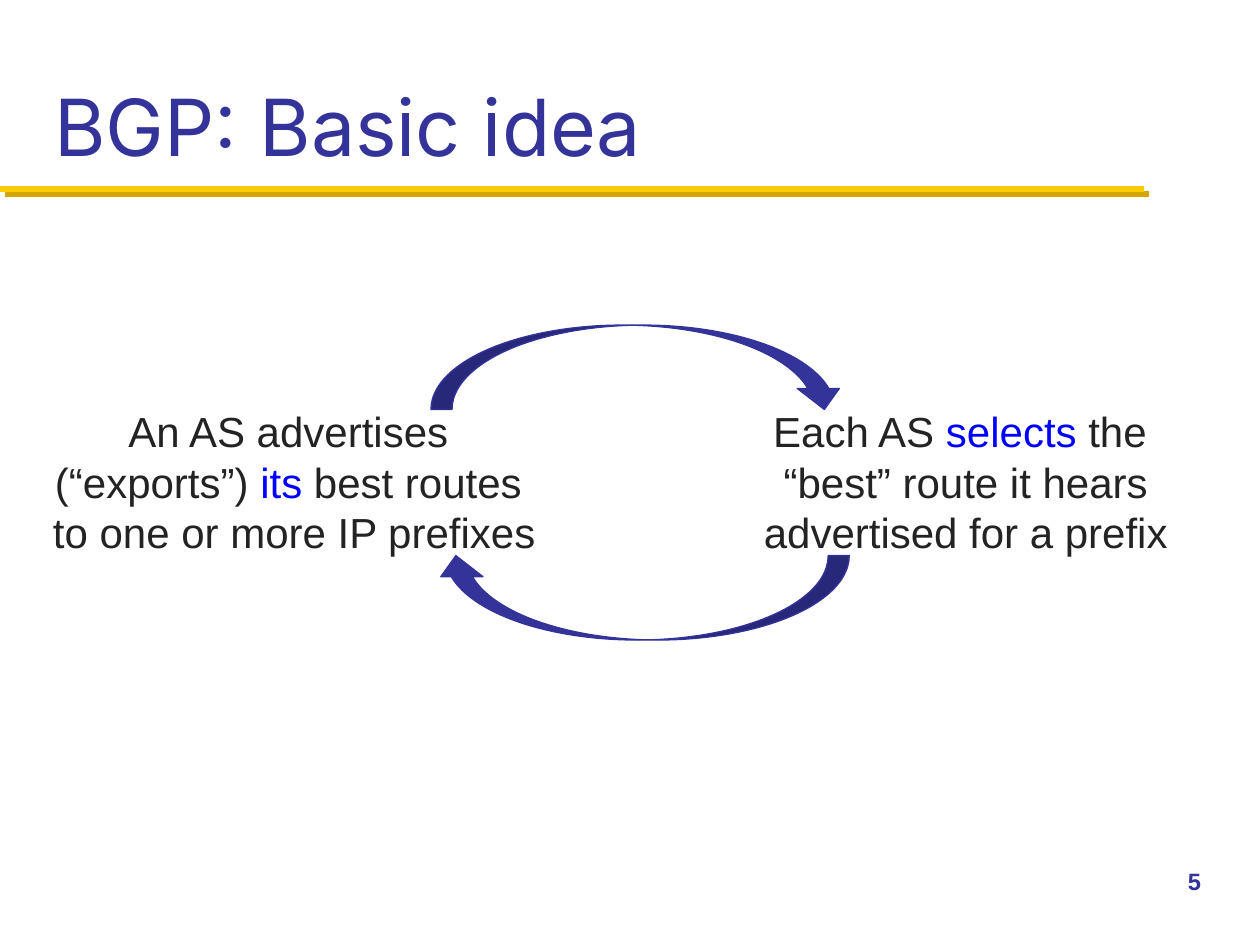
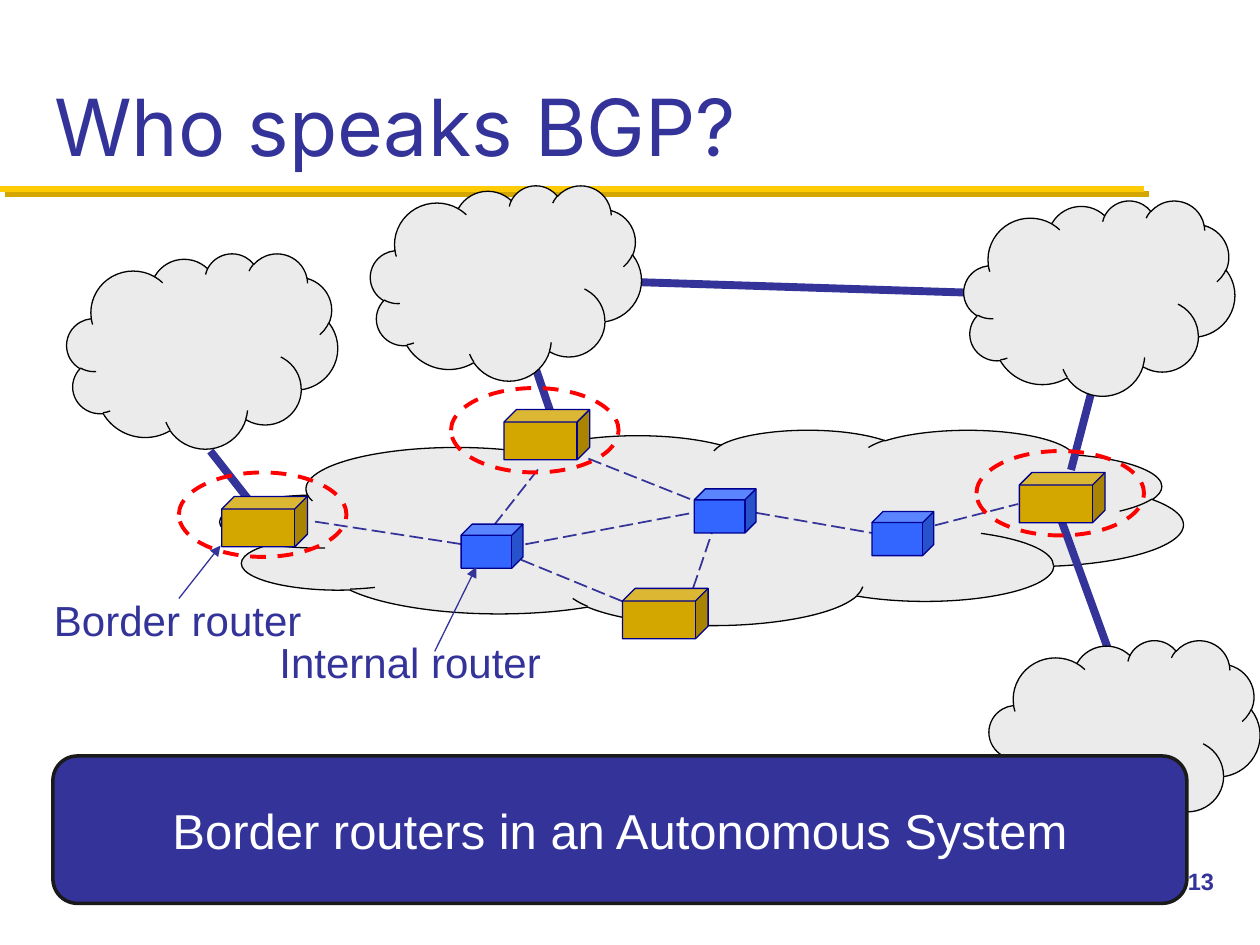
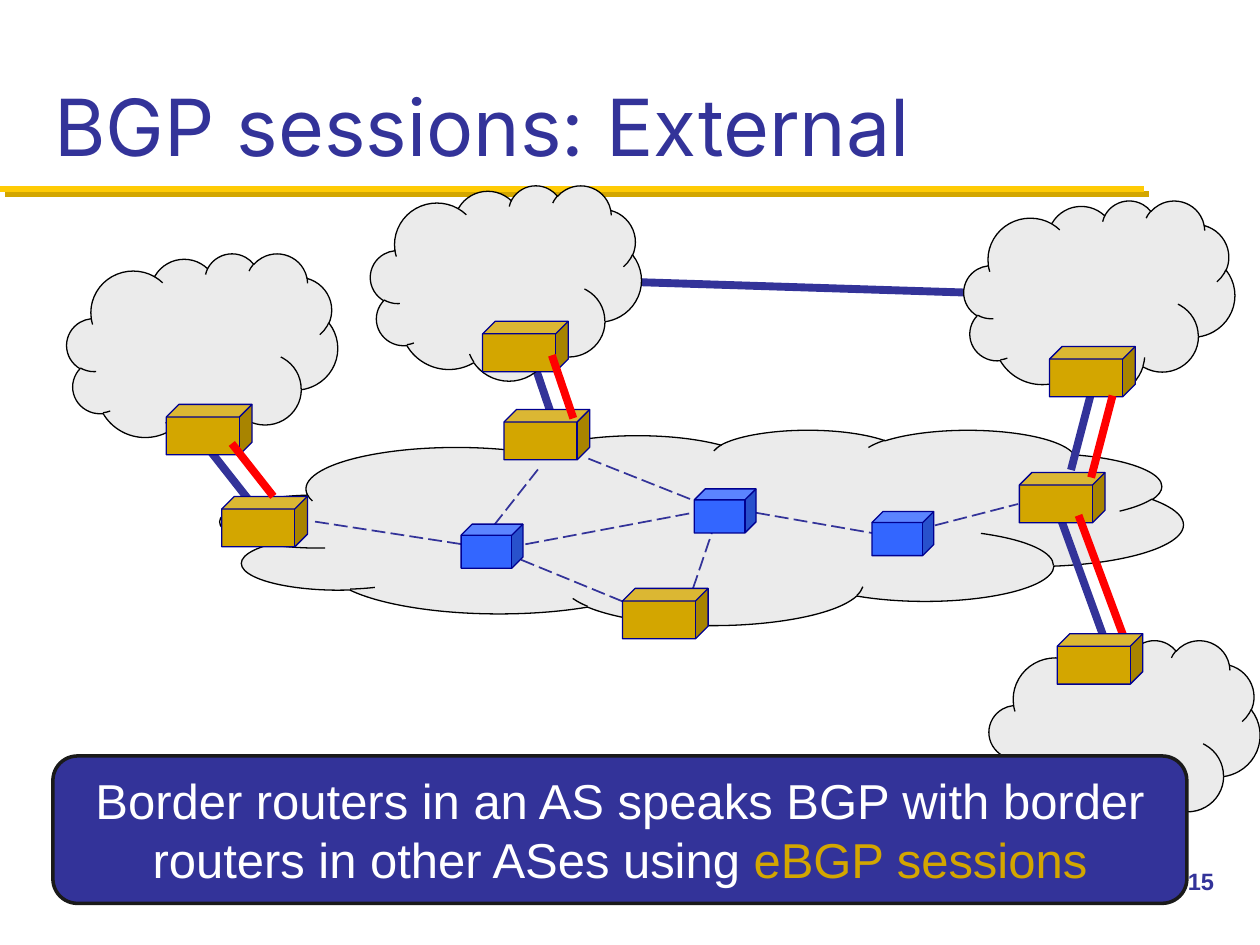
import pptx
import pptx.dml.color
import pptx.enum.dml
import pptx.enum.shapes
import pptx.enum.text
import pptx.oxml.ns
import pptx.util
from lxml import etree

Inches, Pt = pptx.util.Inches, pptx.util.Pt
RGBColor = pptx.dml.color.RGBColor
KIND = pptx.enum.shapes.MSO_SHAPE
DASH = pptx.enum.dml.MSO_LINE
ALIGN = pptx.enum.text.PP_ALIGN
ANCHOR = pptx.enum.text.MSO_ANCHOR
qn = pptx.oxml.ns.qn

INDIGO = RGBColor(0x33, 0x33, 0x99)
YELLOW = RGBColor(0xFF, 0xCB, 0x05)
GOLD = RGBColor(0xD3, 0xA6, 0x00)
CHARCOAL = RGBColor(0x23, 0x23, 0x23)
BLUE = RGBColor(0x00, 0x00, 0xFF)
ROUTER_BLUE = RGBColor(0x33, 0x66, 0xFF)
NAVY = RGBColor(0x00, 0x00, 0x90)
RED = RGBColor(0xFF, 0x00, 0x00)
CLOUD_GREY = RGBColor(0xEB, 0xEB, 0xEB)
NEAR_BLACK = RGBColor(0x1A, 0x1A, 0x1A)
BLACK = RGBColor(0x00, 0x00, 0x00)
WHITE = RGBColor(0xFF, 0xFF, 0xFF)

TITLE_FONT = {"name": "Inter", "size": Pt(45), "bold": False}
NUMBER_FONT = {"name": "Arial", "size": Pt(13.5), "bold": True}
BODY_FONT = {"name": "Arial", "size": Pt(24), "bold": False}
BANNER_FONT = {"name": "Arial", "size": Pt(28), "bold": False}

TITLE_FRAME = {"vertical_anchor": ANCHOR.BOTTOM, "word_wrap": True,
               "auto_size": pptx.enum.text.MSO_AUTO_SIZE.NONE}
BODY_FRAME = {"vertical_anchor": ANCHOR.TOP, "word_wrap": True}
LABEL_FRAME = {"vertical_anchor": ANCHOR.TOP, "word_wrap": False}
BANNER_FRAME = {"vertical_anchor": ANCHOR.MIDDLE, "word_wrap": True}

LEFT = {"alignment": ALIGN.LEFT}
CENTRED = {"alignment": ALIGN.CENTER}
BODY_PARAGRAPH = {"alignment": ALIGN.CENTER, "space_before": Pt(4.8)}


def add_line(slide, ends, color, width, dash=None, arrow=False):
    """Draw a straight line; return its element's empty effect list."""
    line = slide.shapes.add_connector(
        pptx.enum.shapes.MSO_CONNECTOR.STRAIGHT, *map(Inches, ends))
    line.line.color.rgb = color
    line.line.width = Pt(width)
    if dash:
        line.line.dash_style = dash
    properties = line.element.spPr
    if arrow:
        etree.SubElement(properties.find(qn("a:ln")), qn("a:tailEnd"), type="triangle")
    return etree.SubElement(properties, qn("a:effectLst"))


def add_figure(slide, kind, box, fill, outline, width=0.75):
    """Draw a preset shape; a fill of None leaves it hollow."""
    figure = slide.shapes.add_shape(kind, *map(Inches, box))
    figure.shadow.inherit = False
    if fill is None:
        figure.fill.background()
    else:
        figure.fill.solid()
        figure.fill.fore_color.rgb = fill
    figure.line.color.rgb = outline
    figure.line.width = Pt(width)
    return figure


deck = pptx.Presentation()
deck.slide_width, deck.slide_height = Inches(10), Inches(7.5)
texts = []  # (text frame, frame format, paragraph format, font, coloured parts)

# Title, rule and slide number on every slide
slides = []
for title, number in [("BGP: Basic idea", "5"), ("Who speaks BGP?", "13"),
                      ("BGP sessions: External", "15")]:
    slide = deck.slides.add_slide(deck.slide_layouts[5])
    slides.append(slide)
    heading = slide.shapes.title
    heading.left, heading.top, heading.width, heading.height = map(
        Inches, (0.33, 0.17, 9.33, 1.25))
    texts.append((heading.text_frame, TITLE_FRAME, LEFT, TITLE_FONT, [(title, INDIGO)]))

    rule_effects = add_line(slide, (0, 1.5, 9.08, 1.5), YELLOW, 3.5)
    rule_shadow = etree.SubElement(rule_effects, qn("a:outerShdw"), dist=str(Pt(4.2)),
                                   dir="2700000", algn="ctr", rotWithShape="0")
    etree.SubElement(rule_shadow, qn("a:srgbClr"), val=str(GOLD))

    page = slide.shapes.add_textbox(*map(Inches, (9.33, 6.83, 0.67, 0.5)))
    texts.append((page.text_frame, BODY_FRAME, LEFT, NUMBER_FONT, [(number, INDIGO)]))

idea, speakers, sessions = slides

# BGP: Basic idea
for box, turn in [((4.73, 1.27, 0.67, 3.29), 270), ((4.76, 3.1, 0.67, 3.29), 90)]:
    add_figure(idea, KIND.CURVED_LEFT_ARROW, box, INDIGO, INDIGO).rotation = turn

for box, parts in [
    ((5.33, 3.17, 4.67, 1.42),
     [("Each AS ", CHARCOAL), ("selects", BLUE),
      (" the \n“best” route it hears advertised for a prefix", CHARCOAL)]),
    ((0.25, 3.17, 4.17, 1.42),
     [("An AS advertises \n(“exports”) ", CHARCOAL), ("its", BLUE),
      (" best routes \nto one or more IP prefixes", CHARCOAL)]),
]:
    step = idea.shapes.add_textbox(*map(Inches, box))
    texts.append((step.text_frame, BODY_FRAME, BODY_PARAGRAPH, BODY_FONT, parts))

# Network shared by the two router slides
HOME_AS = (1.75, 3.41, 7.64, 1.55)
NEIGHBOUR_SIZE = (2.15, 1.55)
NEIGHBOURS = [(0.53, 2.01), (2.94, 1.47), (7.65, 1.59), (7.85, 5.08)]
EXTERNAL_LINKS = [(5.08, 2.24, 7.92, 2.33), (8.83, 5.25, 8.42, 4.12), (1.67, 3.58, 2, 4),
                  (4.25, 2.92, 4.42, 3.42), (8.67, 3.08, 8.5, 3.73)]
INTERNAL_LINKS = [(2.5, 4.14, 3.67, 4.32), (3.92, 4.17, 4.29, 3.7), (4.17, 4.32, 5.5, 4.07),
                  (5.5, 4.67, 5.67, 4.17), (7.42, 4.17, 8.08, 4), (5.08, 4.83, 4.08, 4.42),
                  (6, 4.07, 6.92, 4.23), (4.67, 3.64, 5.5, 3.97)]
BORDER_SIZE, INTERNAL_SIZE = (0.68, 0.4), (0.49, 0.35)
BORDER_ROUTERS = [(4, 3.25), (8.09, 3.75), (1.76, 3.94), (4.94, 4.67)]
INTERNAL_ROUTERS = [(3.66, 4.16), (5.51, 3.88), (6.92, 4.06)]
REMOTE_ROUTERS = [(1.32, 3.21), (3.83, 2.55), (8.33, 2.75)]
LOWER_REMOTE_ROUTER = (8.39, 5.03)
EBGP_SESSIONS = [(1.84, 3.52, 2.17, 3.94), (4.38, 2.82, 4.55, 3.32),
                 (8.83, 3.14, 8.66, 3.79), (8.98, 5.22, 8.56, 4.09)]
HIGHLIGHTS = [(1.42, 3.75), (3.58, 3.08), (7.75, 3.58)]
HIGHLIGHT_SIZE = (1.33, 0.67)

for slide, message in [
    (speakers, [("Border routers in an Autonomous System", WHITE)]),
    (sessions, [("Border routers in an AS speaks BGP with border routers in other ASes using ",
                 WHITE), ("eBGP sessions", GOLD)]),
]:
    add_figure(slide, KIND.CLOUD, HOME_AS, CLOUD_GREY, BLACK)
    for ends in EXTERNAL_LINKS:
        add_line(slide, ends, INDIGO, 4.5)
    for ends in INTERNAL_LINKS:
        add_line(slide, ends, INDIGO, 1, DASH.LONG_DASH)
    if slide is speakers:
        for corner in HIGHLIGHTS:
            ring = add_figure(slide, KIND.OVAL, corner + HIGHLIGHT_SIZE, None, RED, 2.25)
            ring.line.dash_style = DASH.DASH
    for corner in NEIGHBOURS:
        add_figure(slide, KIND.CLOUD, corner + NEIGHBOUR_SIZE, CLOUD_GREY, BLACK)
    for corner in BORDER_ROUTERS:
        add_figure(slide, KIND.CUBE, corner + BORDER_SIZE, GOLD, NAVY)
    for corner in INTERNAL_ROUTERS:
        add_figure(slide, KIND.CUBE, corner + INTERNAL_SIZE, ROUTER_BLUE, NAVY)
    if slide is sessions:
        for corner in REMOTE_ROUTERS:
            add_figure(slide, KIND.CUBE, corner + BORDER_SIZE, GOLD, NAVY)
        for ends in EBGP_SESSIONS:
            add_line(slide, ends, RED, 4.5)
        add_figure(slide, KIND.CUBE, LOWER_REMOTE_ROUTER + BORDER_SIZE, GOLD, NAVY)
    banner = add_figure(slide, KIND.ROUNDED_RECTANGLE, (0.42, 6, 9, 1.17),
                        INDIGO, NEAR_BLACK, 2)
    texts.append((banner.text_frame, BANNER_FRAME, CENTRED, BANNER_FONT, message))

# Router labels with their pointers
for label, box, pointer in [
    ("Border router", (0.33, 4.67, 2.19, 0.51), (1.42, 4.75, 1.75, 4.33)),
    ("Internal router", (2.12, 5, 2.3, 0.5), (3.45, 5.17, 3.78, 4.5)),
]:
    caption = speakers.shapes.add_textbox(*map(Inches, box))
    texts.append((caption.text_frame, LABEL_FRAME, LEFT, BODY_FONT, [(label, INDIGO)]))
    add_line(speakers, pointer, INDIGO, 0.75, arrow=True)

# Write and format all text
for frame, frame_format, paragraph_format, font_format, parts in texts:
    paragraph = frame.paragraphs[0]
    for target, values in [(frame, frame_format), (paragraph, paragraph_format)]:
        for attribute, value in values.items():
            setattr(target, attribute, value)
    for words, color in parts:
        for index, row in enumerate(words.split("\n")):
            if index:
                paragraph.add_line_break()
            run = paragraph.add_run()
            run.text = row
            run.font.color.rgb = color
            for attribute, value in font_format.items():
                setattr(run.font, attribute, value)

deck.save("out.pptx")
